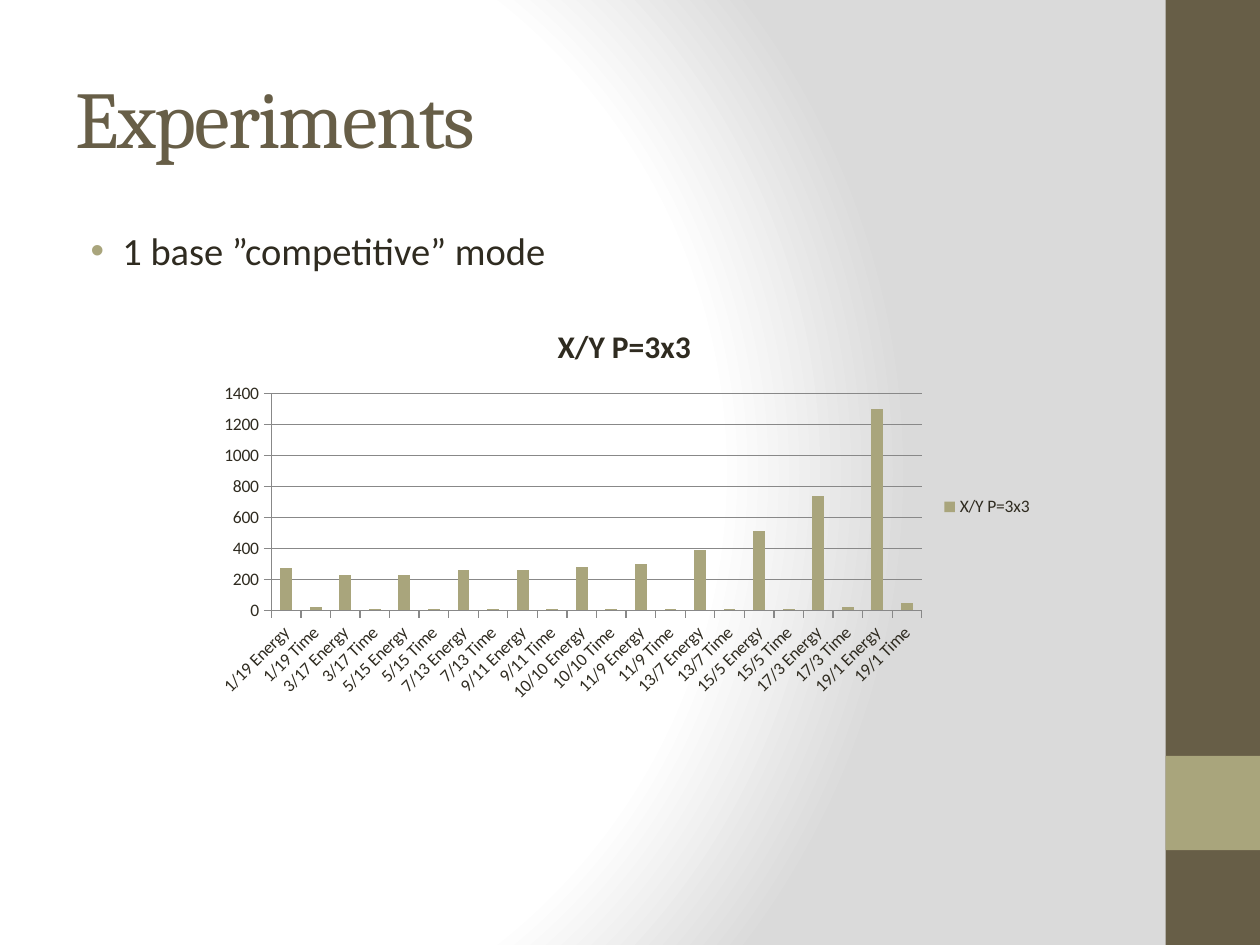
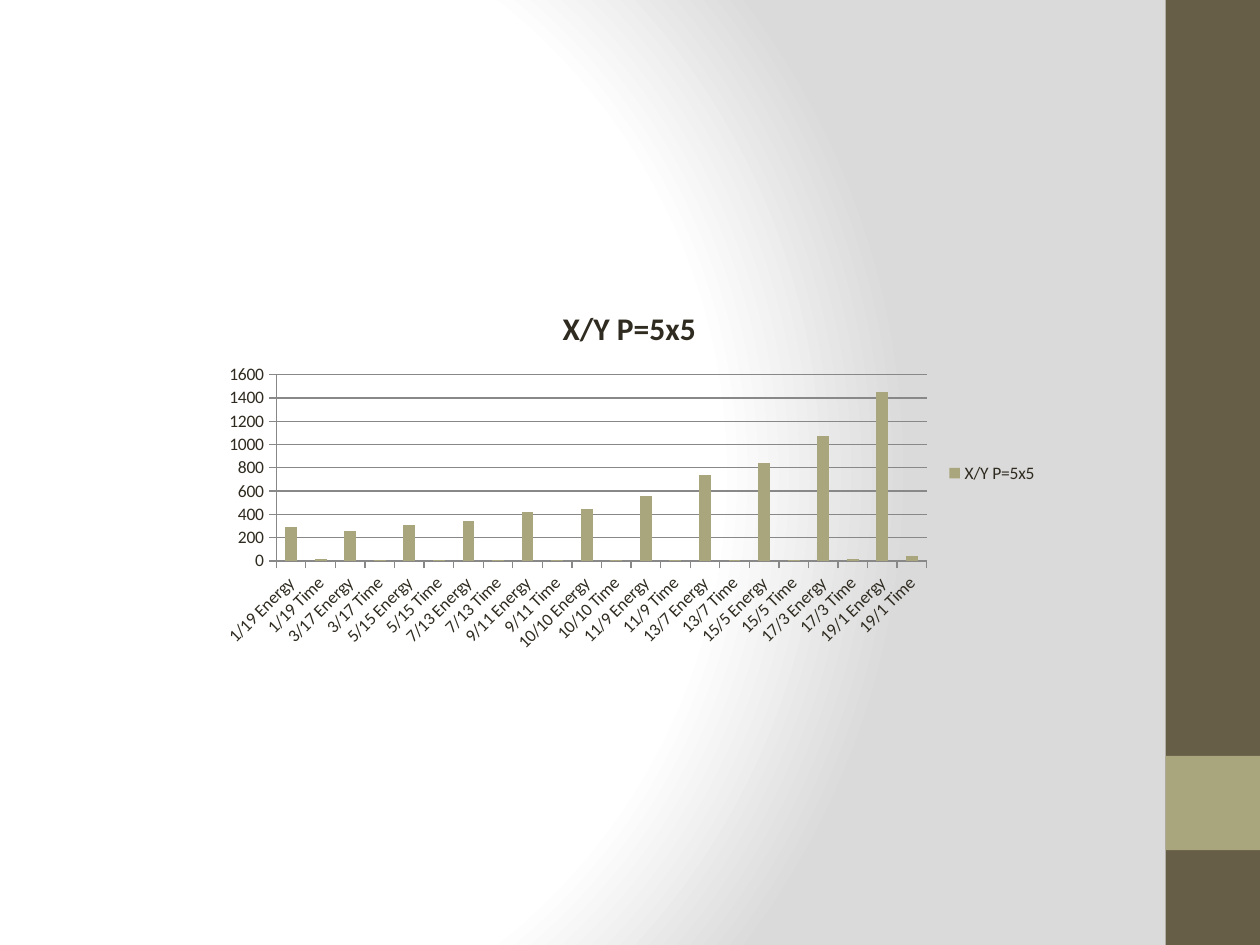
from dataclasses import dataclass

from lxml import etree
from pptx import Presentation
from pptx.chart.data import CategoryChartData
from pptx.dml.color import RGBColor
from pptx.enum.chart import XL_CHART_TYPE, XL_LEGEND_POSITION, XL_TICK_MARK
from pptx.enum.shapes import MSO_SHAPE
from pptx.enum.text import MSO_ANCHOR, MSO_AUTO_SIZE, PP_ALIGN
from pptx.oxml import parse_xml
from pptx.oxml.ns import nsdecls, qn
from pptx.util import Cm, Pt

COLUMNS = XL_CHART_TYPE.COLUMN_CLUSTERED
LEGEND_RIGHT = XL_LEGEND_POSITION.RIGHT
TICK_OUTSIDE = XL_TICK_MARK.OUTSIDE
RECTANGLE = MSO_SHAPE.RECTANGLE
MIDDLE, TOP = MSO_ANCHOR.MIDDLE, MSO_ANCHOR.TOP
LEFT = PP_ALIGN.LEFT
NO_AUTOFIT = MSO_AUTO_SIZE.NONE
TITLE_ONLY, BLANK = 5, 6

# Content
RATIOS = ["1/19", "3/17", "5/15", "7/13", "9/11", "10/10",
          "11/9", "13/7", "15/5", "17/3", "19/1"]
MEASURES = ["Energy", "Time"]
SLIDES = [
    {
        "title": "Experiments",
        "bullet": "1 base \u201dcompetitive\u201d mode",
        "chart_name": "X/Y P=3x3",
        "energy": [270, 230, 230, 260, 260, 280, 300, 390, 510, 740, 1300],
        "time": [20, 10, 10, 10, 10, 10, 10, 10, 10, 20, 50],
        "maximum": 1400,
        "chart_box": (4.09, 6.12, 16.99, 8.2),
    },
    {
        "chart_name": "X/Y P=5x5",
        "energy": [290, 260, 310, 340, 420, 450, 560, 740, 840, 1070, 1450],
        "time": [20, 10, 10, 10, 10, 10, 10, 10, 10, 20, 40],
        "maximum": 1600,
        "chart_box": (4.19, 5.77, 16.99, 7.54),
    },
]


@dataclass(frozen=True)
class Theme:
    dark: str = "675E47"
    accent: str = "A9A57C"
    text: str = "2F2B20"
    grid: str = "888888"
    light: str = "FFFFFF"
    shade: str = "DADADA"
    heading_font: str = "Cambria"
    body_font: str = "Calibri"
    title_size: int = 46
    bullet_size: int = 22
    chart_title_size: int = 18
    chart_size: int = 10


THEME = Theme()

# Geometry in centimetres: left, top, width, height
SLIDE_SIZE = (25.4, 19.05)
BAND_WIDTH = 1.9
BAND_LEFT = SLIDE_SIZE[0] - BAND_WIDTH
BANDS = [
    ((BAND_LEFT, 0, BAND_WIDTH, SLIDE_SIZE[1]), THEME.dark),
    ((BAND_LEFT, 15.24, BAND_WIDTH, BAND_WIDTH), THEME.accent),
]
TITLE_BOX = (1.27, 0.76, 21.16, 3.18)
BODY_BOX = (1.27, 4.45, 21.16, 13.34)


def in_cm(box):
    return [Cm(length) for length in box]


def format_font(font, size, color=THEME.text, name=THEME.body_font, bold=False):
    font.size, font.name, font.bold = Pt(size), name, bold
    font.color.rgb = RGBColor.from_string(color)


def write_text(text_frame, text, *, anchor=TOP, spacing=None, **font_format):
    text_frame.word_wrap = True
    text_frame.auto_size = NO_AUTOFIT
    text_frame.vertical_anchor = anchor
    paragraph = text_frame.paragraphs[0]
    paragraph.alignment = LEFT
    run = paragraph.add_run()
    run.text = text
    format_font(run.font, **font_format)
    if spacing is not None:
        run.font._element.set("spc", str(spacing))
    return paragraph


def add_bullet(paragraph, color):
    properties = paragraph._p.get_or_add_pPr()
    properties.set("marL", str(Cm(0.95)))
    properties.set("indent", str(-Cm(0.64)))
    bullet_color = etree.SubElement(properties, qn("a:buClr"))
    etree.SubElement(bullet_color, qn("a:srgbClr"), val=color)
    etree.SubElement(properties, qn("a:buFont"), typeface="Arial")
    etree.SubElement(properties, qn("a:buChar"), char="\u2022")


def set_background(master):
    master.background.fill.solid()
    stops = [(0, THEME.light), (75000, THEME.light), (100000, THEME.shade)]
    stop_xml = "".join(f'<a:gs pos="{position}"><a:srgbClr val="{color}"/></a:gs>'
                       for position, color in stops)
    gradient = parse_xml(
        f'<a:gradFill {nsdecls("a")} rotWithShape="1"><a:gsLst>{stop_xml}</a:gsLst>'
        '<a:path path="circle">'
        '<a:fillToRect l="20000" t="50000" r="100000" b="50000"/>'
        '</a:path></a:gradFill>')
    solid = next(master._element.iter(qn("p:bgPr"))).find(qn("a:solidFill"))
    solid.getparent().replace(solid, gradient)


def add_bands(slide):
    for box, color in BANDS:
        band = slide.shapes.add_shape(RECTANGLE, *in_cm(box))
        band.shadow.inherit = False
        band.fill.solid()
        band.fill.fore_color.rgb = RGBColor.from_string(color)
        band.line.fill.background()


def format_line(line):
    line.width = Pt(0.75)
    line.color.rgb = RGBColor.from_string(THEME.grid)


def add_column_chart(slide, content):
    # Energy and time alternate along the category axis
    data = CategoryChartData()
    data.categories = [f"{ratio} {measure}" for ratio in RATIOS for measure in MEASURES]
    pairs = zip(content["energy"], content["time"])
    data.add_series(content["chart_name"], [value for pair in pairs for value in pair])
    chart = slide.shapes.add_chart(COLUMNS, *in_cm(content["chart_box"]), data).chart
    format_font(chart.font, THEME.chart_size)

    # Title and legend
    chart.has_title = True
    title_frame = chart.chart_title.text_frame
    title_frame.text = content["chart_name"]
    format_font(title_frame.paragraphs[0].runs[0].font, THEME.chart_title_size, bold=True)
    chart.chart_title.include_in_layout = False
    chart.has_legend = True
    chart.legend.position = LEGEND_RIGHT
    chart.legend.include_in_layout = False

    # Columns
    plot = chart.plots[0]
    plot.gap_width = 150
    plot.vary_by_categories = False
    fill = plot.series[0].format.fill
    fill.solid()
    fill.fore_color.rgb = RGBColor.from_string(THEME.accent)

    # Axes
    for axis in (chart.category_axis, chart.value_axis):
        axis.major_tick_mark = TICK_OUTSIDE
        format_line(axis.format.line)
        format_font(axis.tick_labels.font, THEME.chart_size)
    labels = chart.category_axis._element.find(qn("c:txPr"))
    labels.find(qn("a:bodyPr")).set("rot", "-2700000")
    value_axis = chart.value_axis
    value_axis.minimum_scale, value_axis.maximum_scale = 0, content["maximum"]
    value_axis.major_unit = 200
    value_axis.has_major_gridlines = True
    format_line(value_axis.major_gridlines.format.line)


def build_slide(presentation, content):
    layout = TITLE_ONLY if "title" in content else BLANK
    slide = presentation.slides.add_slide(presentation.slide_layouts[layout])
    add_bands(slide)
    if "title" in content:
        title = slide.shapes.title
        title.left, title.top, title.width, title.height = in_cm(TITLE_BOX)
        write_text(title.text_frame, content["title"], anchor=MIDDLE, spacing=-100,
                   size=THEME.title_size, color=THEME.dark, name=THEME.heading_font)
    if "bullet" in content:
        body = slide.shapes.add_textbox(*in_cm(BODY_BOX))
        paragraph = write_text(body.text_frame, content["bullet"], size=THEME.bullet_size)
        add_bullet(paragraph, THEME.accent)
    add_column_chart(slide, content)


presentation = Presentation()
presentation.slide_width, presentation.slide_height = in_cm(SLIDE_SIZE)
set_background(presentation.slide_master)
for content in SLIDES:
    build_slide(presentation, content)
presentation.save("out.pptx")
